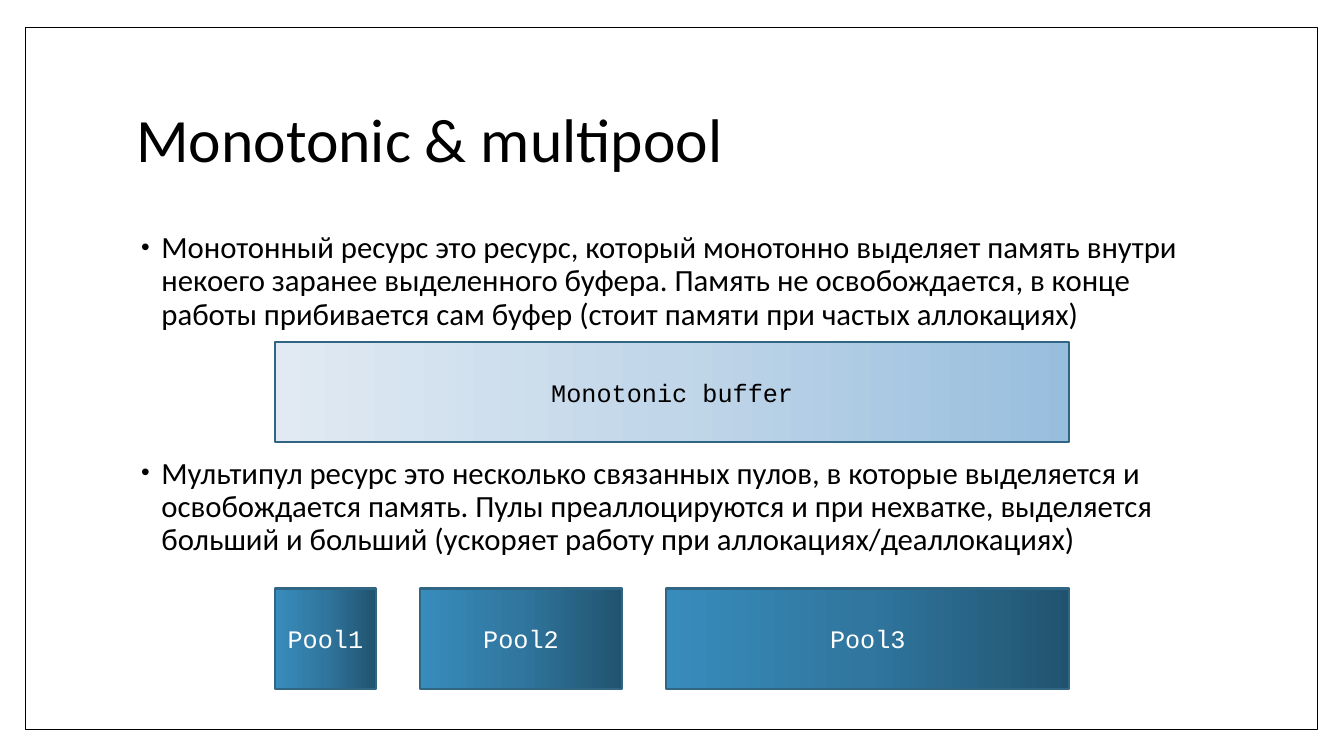
import pptx
import pptx.dml.color
import pptx.enum.shapes
import pptx.enum.text
import pptx.oxml
import pptx.oxml.ns
import pptx.util

Cm = pptx.util.Cm
Pt = pptx.util.Pt
Anchor = pptx.enum.text.MSO_ANCHOR
Align = pptx.enum.text.PP_ALIGN
qn = pptx.oxml.ns.qn
NS = pptx.oxml.ns.nsdecls("a")


def color(value):
    return pptx.dml.color.RGBColor.from_string(value)


class Deck:
    body_font = "Calibri"
    code_font = "Courier New"
    black = "000000"
    white = "FFFFFF"
    border = "306684"
    dark = ("21536F", "30769E", "388CBC")
    light = ("98BEDE", "C1D6E9", "E1EAF3")

    def __init__(self, prs):
        self.s = prs.slides.add_slide(prs.slide_layouts[5])

    def run(self, p, text, size, font, rgb):
        r = p.add_run()
        r.text = text
        r.font.size = Pt(size)
        r.font.name = font
        r.font.color.rgb = color(rgb)

    def rect(self, x, y, w, h, line, weight):
        sp = self.s.shapes.add_shape(
            pptx.enum.shapes.MSO_SHAPE.RECTANGLE, Cm(x), Cm(y), Cm(w), Cm(h))
        sp.shadow.inherit = False
        sp.line.color.rgb = color(line)
        sp.line.width = Pt(weight)
        return sp

    def frame(self, x, y, w, h):
        sp = self.rect(x, y, w, h, self.black, 1)
        sp.fill.solid()
        sp.fill.fore_color.rgb = color(self.white)
        self.s.shapes.element.insert(2, sp.element)

    def title(self, text, x, y, w, h):
        sp = self.s.shapes.title
        sp.left, sp.top, sp.width, sp.height = Cm(x), Cm(y), Cm(w), Cm(h)
        tf = sp.text_frame
        tf.vertical_anchor = Anchor.MIDDLE
        p = tf.paragraphs[0]
        p.alignment = Align.LEFT
        p.line_spacing = 0.9
        self.run(p, text, 44, self.body_font, self.black)

    def bullets(self, texts, x, y, w, h, gap):
        tf = self.s.shapes.add_textbox(Cm(x), Cm(y), Cm(w), Cm(h)).text_frame
        tf.word_wrap = True
        for i, text in enumerate(texts):
            p = tf.add_paragraph() if i else tf.paragraphs[0]
            p.line_spacing = 0.9
            p.space_before = Pt(gap if i else 0)
            pPr = p._p.get_or_add_pPr()
            pPr.set("marL", str(Cm(0.64)))
            pPr.set("indent", str(Cm(-0.51)))
            for xml in (
                f'<a:buClr {NS}><a:srgbClr val="{self.black}"/></a:buClr>',
                f'<a:buSzPct {NS} val="80000"/>',
                f'<a:buFont {NS} typeface="Arial"/>',
                f'<a:buChar {NS} char="•"/>',
            ):
                pPr.append(pptx.oxml.parse_xml(xml))
            self.run(p, text, 22, self.body_font, self.black)

    def block(self, text, x, y, w, h, stops, rgb):
        sp = self.rect(x, y, w, h, self.border, 1.5)
        sp.fill.gradient()
        sp.fill.gradient_angle = 180
        gs_list = next(sp.element.iter(qn("a:gsLst")))
        for gs in list(gs_list):
            gs_list.remove(gs)
        for i, stop in enumerate(stops):
            gs_list.append(pptx.oxml.parse_xml(
                f'<a:gs {NS} pos="{i * 50000}"><a:srgbClr val="{stop}"/></a:gs>'))
        tf = sp.text_frame
        tf.word_wrap = True
        tf.vertical_anchor = Anchor.MIDDLE
        p = tf.paragraphs[0]
        p.alignment = Align.CENTER
        self.run(p, text, 18, self.code_font, rgb)


def main():
    prs = pptx.Presentation()
    prs.slide_width, prs.slide_height = Cm(33.87), Cm(19.05)
    deck = Deck(prs)
    deck.frame(0.64, 0.69, 32.56, 17.7)
    deck.title("Monotonic & multipool", 3.18, 1.7, 27.43, 3.76)
    deck.bullets([
        "Монотонный ресурс это ресурс, который монотонно выделяет память внутри "
        "некоего заранее выделенного буфера. Память не освобождается, в конце "
        "работы прибивается сам буфер (стоит памяти при частых аллокациях)",
        "Мультипул ресурс это несколько связанных пулов, в которые выделяется и "
        "освобождается память. Пулы преаллоцируются и при нехватке, выделяется "
        "больший и больший (ускоряет работу при аллокациях/деаллокациях)",
    ], 3.18, 5.72, 27.43, 11.23, 90)

    left, unit, gap = 6.93, 2.54, 1.12
    x = left
    for i in range(3):
        width = unit * 2 ** i
        deck.block(f"Pool{i + 1}", x, 14.83, width, unit, deck.dark, deck.white)
        x += width + gap
    deck.block("Monotonic buffer", left, 8.61, x - gap - left, unit,
               deck.light, deck.black)
    prs.save("out.pptx")


if __name__ == "__main__":
    main()
